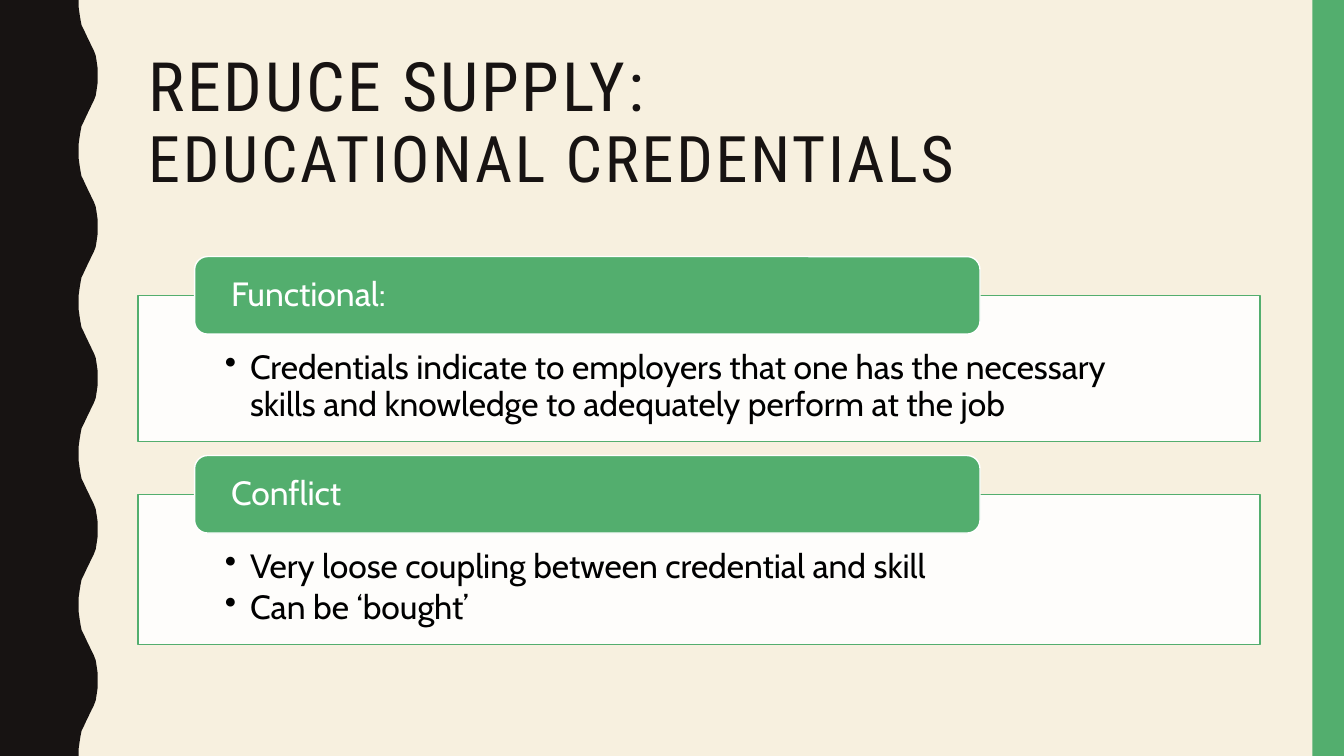
from dataclasses import dataclass

from lxml import etree
from pptx import Presentation
from pptx.dml.color import RGBColor
from pptx.enum.shapes import MSO_SHAPE
from pptx.enum.text import MSO_ANCHOR, MSO_AUTO_SIZE, PP_ALIGN
from pptx.oxml.ns import qn
from pptx.util import Pt

RECTANGLE = MSO_SHAPE.RECTANGLE
ROUNDED = MSO_SHAPE.ROUNDED_RECTANGLE
TOP = MSO_ANCHOR.TOP
MIDDLE = MSO_ANCHOR.MIDDLE
LEFT = PP_ALIGN.LEFT
NO_AUTOFIT = MSO_AUTO_SIZE.NONE

CREAM, INK, GREEN, WHITE, BLACK = "F7F0DF", "171312", "53AE6E", "FFFFFF", "000000"
TITLE_FONT, BODY_FONT = "Roboto Condensed", "Cabin"

SLIDE_WIDTH, SLIDE_HEIGHT = 960, 540
CONTENT_LEFT, CONTENT_WIDTH = 98.64, 801.36
FIRST_CARD_TOP, CARD_GAP = 211, 10
HEADER_LEFT, HEADER_WIDTH, HEADER_HEIGHT, HEADER_RISE = 139, 561, 55.4, 27.7
WAVE_PERIOD = 108
HALF_WAVE = [
    (56.2, 0), (56.2, 5), (56.9, 10), (57.6, 14.4), (58.3, 18), (59.8, 21),
    (61.2, 24), (62.6, 27), (64.1, 30), (65.5, 33), (67, 36), (68.4, 39.6),
    (69.1, 44), (69.8, 49), (69.8, 54),
]


@dataclass
class Card:
    heading: str
    points: list[str]
    height: float


CARDS = [
    Card("Functional:", ["Credentials indicate to employers that one has the necessary "
                         "skills and knowledge to adequately perform at the job"], 104.4),
    Card("Conflict", ["Very loose coupling between credential and skill",
                      "Can be ‘bought’"], 107.3),
]


def color(hex_code: str) -> RGBColor:
    return RGBColor.from_string(hex_code)


def paint(shape, fill: str, line: str | None = None) -> None:
    shape.shadow.inherit = False
    shape.fill.solid()
    shape.fill.fore_color.rgb = color(fill)
    if line:
        shape.line.color.rgb = color(line)
        shape.line.width = Pt(1)
    else:
        shape.line.fill.background()


def add_box(slide, kind, left: float, top: float, width: float, height: float,
            fill: str, line: str | None = None):
    shape = slide.shapes.add_shape(kind, Pt(left), Pt(top), Pt(width), Pt(height))
    paint(shape, fill, line)
    return shape


def set_opacity(shape, percent: int) -> None:
    fill_color = shape.fill._xPr.find(qn("a:solidFill"))[0]
    etree.SubElement(fill_color, qn("a:alpha"), val=str(percent * 1000))


def set_frame(shape, anchor, side: float, top: float, bottom: float):
    frame = shape.text_frame
    frame.word_wrap = True
    frame.auto_size = NO_AUTOFIT
    frame.vertical_anchor = anchor
    frame.margin_left = frame.margin_right = Pt(side)
    frame.margin_top, frame.margin_bottom = Pt(top), Pt(bottom)
    return frame


def add_run(paragraph, text: str, font_name: str, size: float, hex_code: str):
    paragraph.alignment = LEFT
    paragraph.line_spacing = 0.9
    run = paragraph.add_run()
    run.text = text
    run.font.name = font_name
    run.font.size = Pt(size)
    run.font.color.rgb = color(hex_code)
    return run


def add_bullet(paragraph) -> None:
    properties = paragraph._p.get_or_add_pPr()
    properties.set("marL", str(Pt(18)))
    properties.set("indent", str(-Pt(18)))
    etree.SubElement(properties, qn("a:buChar"), char="•")


def add_wave(slide) -> None:
    period = HALF_WAVE + [(x, WAVE_PERIOD - y) for x, y in HALF_WAVE[-2::-1]]
    edge = [(x, y + number * WAVE_PERIOD)
            for number in range(SLIDE_HEIGHT // WAVE_PERIOD) for x, y in period]
    builder = slide.shapes.build_freeform(0, 0)
    builder.add_line_segments([(Pt(x), Pt(y)) for x, y in edge + [(0, SLIDE_HEIGHT)]])
    paint(builder.convert_to_shape(), INK)


def add_title(slide) -> None:
    title = slide.shapes.title
    title.left, title.top = Pt(CONTENT_LEFT), Pt(30.24)
    title.width, title.height = Pt(CONTENT_WIDTH), Pt(117.36)
    paragraph = set_frame(title, MIDDLE, 7.2, 3.6, 3.6).paragraphs[0]
    first = add_run(paragraph, "REDUCE SUPPLY: ", TITLE_FONT, 48.6, INK)
    paragraph.add_line_break()
    second = add_run(paragraph, "EDUCATIONAL CREDENTIALS", TITLE_FONT, 45.9, INK)
    for run in (first, second):
        run.font._element.set("spc", "200")


def add_card(slide, card: Card, top: float) -> None:
    body = add_box(slide, RECTANGLE, CONTENT_LEFT, top, CONTENT_WIDTH, card.height,
                   WHITE, GREEN)
    set_opacity(body, 90)
    frame = set_frame(body, TOP, 62, 39.6, 13.7)
    for index, point in enumerate(card.points):
        paragraph = frame.add_paragraph() if index else frame.paragraphs[0]
        add_run(paragraph, point, BODY_FONT, 24, BLACK)
        paragraph.space_after = Pt(3.2)
        add_bullet(paragraph)

    header = add_box(slide, ROUNDED, HEADER_LEFT, top - HEADER_RISE, HEADER_WIDTH,
                     HEADER_HEIGHT, GREEN, WHITE)
    heading = set_frame(header, MIDDLE, 23.4, 0, 0).paragraphs[0]
    add_run(heading, card.heading, BODY_FONT, 24, WHITE)


def main() -> None:
    presentation = Presentation()
    presentation.slide_width, presentation.slide_height = Pt(SLIDE_WIDTH), Pt(SLIDE_HEIGHT)
    slide = presentation.slides.add_slide(presentation.slide_layouts[5])
    slide.background.fill.solid()
    slide.background.fill.fore_color.rgb = color(CREAM)

    add_wave(slide)
    add_box(slide, RECTANGLE, 937.5, 0, 22.5, SLIDE_HEIGHT, GREEN)
    add_title(slide)
    top = FIRST_CARD_TOP
    for card in CARDS:
        add_card(slide, card, top)
        top += card.height + CARD_GAP + HEADER_RISE

    presentation.save("out.pptx")


if __name__ == "__main__":
    main()
